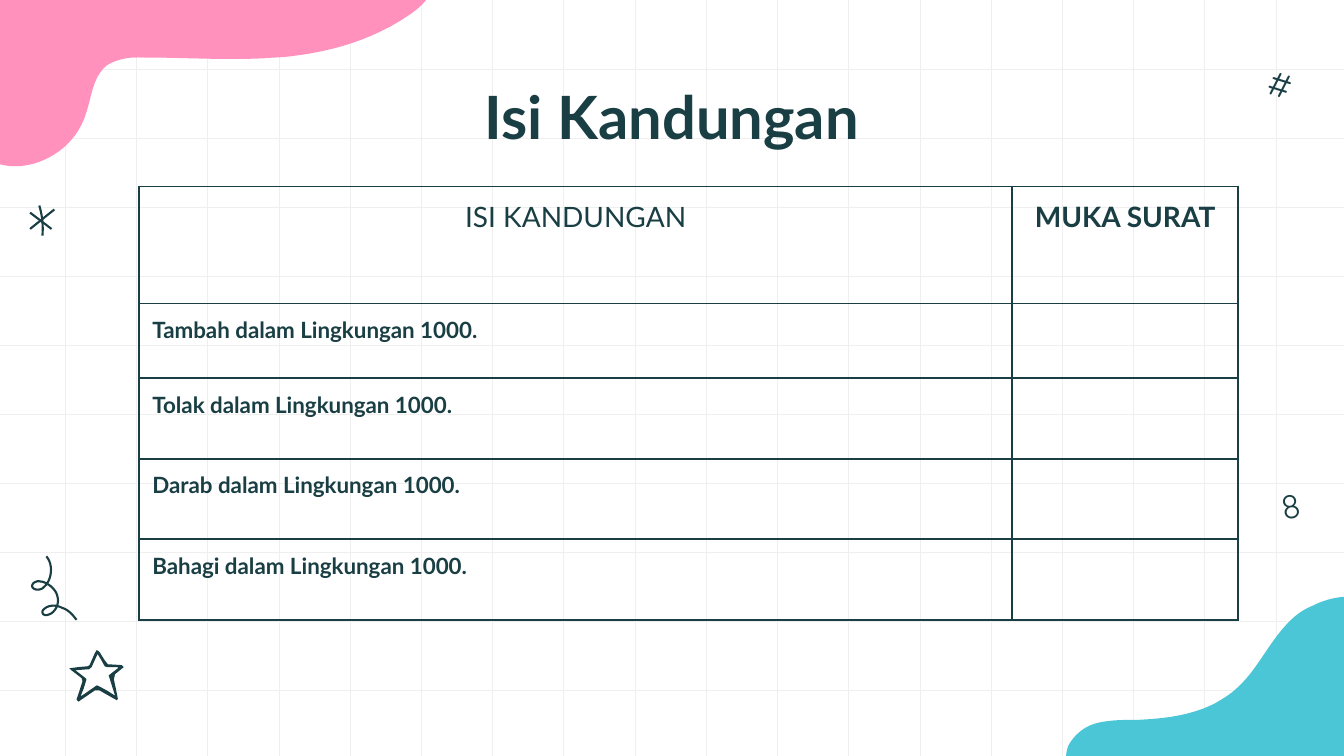
from dataclasses import dataclass

from lxml.etree import SubElement
from pptx import Presentation
from pptx.dml.color import RGBColor
from pptx.enum.shapes import MSO_CONNECTOR as Connector
from pptx.enum.text import MSO_ANCHOR as Anchor, PP_ALIGN as Align
from pptx.oxml.ns import qn
from pptx.util import Cm, Pt


@dataclass(frozen=True)
class Theme:
    ink: str = "193E43"
    grid: str = "EFEFEF"
    pink: str = "FF91BC"
    teal: str = "4BC6D6"
    font: str = "Lato"
    symbol_font: str = "Quicksand"
    title_size: float = 42.6
    head_size: float = 20
    body_size: float = 16
    symbol_size: float = 24
    stroke: float = 1.5
    hairline: float = 0.75


THEME = Theme()
PAGE_WIDTH, PAGE_HEIGHT = 33.87, 19.05
CURVE_STEPS = 12
CELL_INSET = 0.33

# Curves: a start point, then groups of two control points and an end point, in cm.
PINK_EDGE = [
    (10.74, 0), (10.62, 0.15), (10.46, 0.28), (10.31, 0.38),
    (9.42, 0.99), (8.38, 1.3), (7.32, 1.42), (7.09, 1.45), (6.88, 1.45), (6.65, 1.47),
    (5.64, 1.52), (4.62, 1.45), (3.61, 1.45), (3.53, 1.45), (3.43, 1.45), (3.35, 1.45),
    (3.12, 1.47), (2.9, 1.52), (2.69, 1.65), (2.31, 1.96), (2.31, 2.51), (2.13, 2.97),
    (1.88, 3.66), (1.19, 4.14), (0.48, 4.19), (0.33, 4.19), (0.18, 4.19), (0, 4.14),
]
TEAL_EDGE = [
    (33.87, 15.04), (33.6, 15.06), (33.32, 15.14), (33.07, 15.27),
    (32.89, 15.34), (32.74, 15.44), (32.59, 15.57), (32, 16.1), (31.72, 16.87), (31.14, 17.37),
    (30.96, 17.53), (30.78, 17.63), (30.61, 17.73), (30.02, 18.03), (29.34, 18.11), (28.68, 18.14),
    (28.35, 18.14), (28.02, 18.14), (27.69, 18.21), (27.58, 18.24), (27.51, 18.26), (27.41, 18.31),
    (27.2, 18.42), (27.03, 18.59), (26.92, 18.8), (26.9, 18.87), (26.87, 18.96), (26.87, 19.05),
]
SQUIGGLE = [
    (1.17, 14.02), (1.35, 14.22), (1.32, 14.63), (1.09, 14.81),
    (1.02, 14.88), (0.84, 14.88), (0.81, 14.78), (0.81, 14.73), (0.84, 14.68), (0.91, 14.66),
    (0.97, 14.63), (1.02, 14.66), (1.07, 14.66), (1.24, 14.71), (1.42, 14.86), (1.45, 15.04),
    (1.5, 15.21), (1.4, 15.44), (1.22, 15.49), (1.14, 15.52), (1.07, 15.49), (1.07, 15.42),
    (1.07, 15.39), (1.09, 15.37), (1.12, 15.34), (1.24, 15.24), (1.42, 15.24), (1.57, 15.32),
    (1.73, 15.37), (1.83, 15.49), (1.93, 15.62),
]
ASTERISK_BAR = [(0.99, 5.18), (1.07, 5.44), (1.09, 5.69), (1.07, 5.94)]
ASTERISK_ARMS = [[(0.76, 5.36), (1.3, 5.77)], [(0.76, 5.77), (1.37, 5.28)]]
STAR_OUTSIDE = [
    (3.12, 16.81), (2.9, 16.99), (2.87, 17.12), (2.92, 17.35), (2.97, 17.6), (2.95, 17.65),
    (2.51, 17.4), (2.39, 17.4), (1.98, 17.68), (1.93, 17.63), (2.08, 17.17), (2.06, 17.09),
    (1.8, 16.89), (1.75, 16.84), (1.98, 16.81), (2.21, 16.79), (2.26, 16.76), (2.39, 16.46),
    (2.44, 16.38), (2.51, 16.43), (2.64, 16.64), (2.72, 16.74), (3.07, 16.76),
]
STAR_INSIDE = [
    (1.9, 16.89), (2.16, 17.09), (2.18, 17.12), (2.11, 17.35), (2.03, 17.55), (2.11, 17.5),
    (2.44, 17.27), (2.51, 17.3), (2.69, 17.4), (2.9, 17.53), (2.74, 17.02), (2.97, 16.84),
    (2.97, 16.81), (2.69, 16.81), (2.64, 16.79), (2.54, 16.61), (2.46, 16.48), (2.41, 16.59),
    (2.31, 16.81), (2.24, 16.87), (2.16, 16.87),
]

COLUMN_WIDTHS = [22, 5.69]
ROW_HEIGHTS = [2.95, 1.88, 2.03, 2.03, 2.03]
HEADINGS = ["ISI KANDUNGAN", "MUKA SURAT"]
TOPICS = ["Tambah", "Tolak", "Darab", "Bahagi"]


def colour(value):
    return RGBColor.from_string(value)


def write(frame, text, size, font=THEME.font, bold=False, align=Align.LEFT, after=0):
    para = frame.paragraphs[0]
    para.alignment, para.space_after = align, Pt(after)
    span = para.add_run()
    span.text = text
    span.font.name, span.font.size, span.font.bold = font, Pt(size), bold
    span.font.color.rgb = colour(THEME.ink)
    return span


def add_solid_line(parent, tag, width):
    line = SubElement(parent, qn(tag), w=str(Pt(width)))
    fill = SubElement(line, qn("a:solidFill"))
    SubElement(fill, qn("a:srgbClr"), val=THEME.ink)
    return line


def flatten(curve):
    """Turn a chain of cubic curves into points."""
    points = [curve[0]]
    for first in range(0, len(curve) - 1, 3):
        a, b, c, d = curve[first:first + 4]
        for step in range(1, CURVE_STEPS + 1):
            t = step / CURVE_STEPS
            u = 1 - t
            points.append(tuple(
                u**3 * p + 3 * u * u * t * q + 3 * u * t * t * r + t**3 * s
                for p, q, r, s in zip(a, b, c, d)))
    return points


def add_outline(page, *contours, fill=None):
    """Draw closed filled contours, or an open stroke when there is no fill."""
    contours = [[(Cm(x), Cm(y)) for x, y in contour] for contour in contours]
    builder = page.shapes.build_freeform(*contours[0][0])
    for index, contour in enumerate(contours):
        if index:
            builder.move_to(*contour[0])
        builder.add_line_segments(contour[1:], close=fill is not None)
    shape = builder.convert_to_shape()
    shape.shadow.inherit = False
    if fill:
        shape.fill.solid()
        shape.fill.fore_color.rgb = colour(fill)
        shape.line.fill.background()
    else:
        shape.fill.background()
        shape.line.color.rgb = colour(THEME.ink)
        shape.line.width = Pt(THEME.stroke)


def add_grid_line(page, *ends):
    line = page.shapes.add_connector(Connector.STRAIGHT, *map(Cm, ends))
    line.line.color.rgb = colour(THEME.grid)
    line.line.width = Pt(THEME.hairline)
    SubElement(line._element.spPr, qn("a:effectLst"))


def add_grid(page):
    for column in range(18):
        x = 1.65 + column * 30.51 / 17
        add_grid_line(page, x, 0, x, PAGE_HEIGHT)
    for row in range(1, 11):
        add_grid_line(page, 0, row * 1.74, PAGE_WIDTH, row * 1.74)


def add_title(page, text):
    title = page.shapes.title
    page.shapes._spTree.append(title._element)  # above the grid
    title.left, title.top, title.width, title.height = map(Cm, (2.67, 2.03, 28.52, 1.78))
    title.text_frame.vertical_anchor = Anchor.MIDDLE
    write(title.text_frame, text, THEME.title_size, bold=True, align=Align.CENTER)


def add_symbol(page, text, left, top, width, height, rotation):
    box = page.shapes.add_textbox(*map(Cm, (left, top, width, height)))
    box.rotation = rotation
    box.text_frame.word_wrap = True
    span = write(box.text_frame, text, THEME.symbol_size, THEME.symbol_font, align=Align.CENTER)
    properties = span.font._element
    properties.insert(0, add_solid_line(properties, "a:ln", THEME.stroke))


def format_cell(cell):
    cell.margin_left = cell.margin_right = cell.margin_top = cell.margin_bottom = Cm(CELL_INSET)
    properties = cell._tc.get_or_add_tcPr()
    for side in ("L", "R", "T", "B"):
        add_solid_line(properties, f"a:ln{side}", THEME.stroke)
    cell.fill.background()


def add_contents(page):
    table = page.shapes.add_table(
        len(ROW_HEIGHTS), len(COLUMN_WIDTHS), Cm(3.51), Cm(4.7),
        Cm(sum(COLUMN_WIDTHS)), Cm(sum(ROW_HEIGHTS))).table
    table.first_row = table.horz_banding = False
    for column, width in zip(table.columns, COLUMN_WIDTHS):
        column.width = Cm(width)
    for row, height in zip(table.rows, ROW_HEIGHTS):
        row.height = Cm(height)
    for cell in table.iter_cells():
        format_cell(cell)
    for column, heading in enumerate(HEADINGS):
        write(table.cell(0, column).text_frame, heading, THEME.head_size,
              bold=column == 1, align=Align.CENTER, after=16 * column)
    for row, topic in enumerate(TOPICS, 1):
        write(table.cell(row, 0).text_frame, f"{topic} dalam Lingkungan 1000.",
              THEME.body_size, bold=True)


def main():
    deck = Presentation()
    deck.slide_width, deck.slide_height = Cm(PAGE_WIDTH), Cm(PAGE_HEIGHT)
    page = deck.slides.add_slide(deck.slide_layouts[5])
    add_grid(page)
    add_outline(page, flatten(PINK_EDGE) + [(0, 0)], fill=THEME.pink)
    add_outline(page, flatten(TEAL_EDGE) + [(PAGE_WIDTH, PAGE_HEIGHT)], fill=THEME.teal)
    for stroke in (*ASTERISK_ARMS, flatten(ASTERISK_BAR), flatten(SQUIGGLE)):
        add_outline(page, stroke)
    add_outline(page, STAR_OUTSIDE, STAR_INSIDE, fill=THEME.ink)
    add_contents(page)
    add_title(page, "Isi Kandungan")
    add_symbol(page, "8", 31.93, 12.09, 1.27, 1.7, 348.4)
    add_symbol(page, "#", 31.5, 1.47, 1.4, 1.73, 17.1)
    deck.save("out.pptx")


if __name__ == "__main__":
    main()
